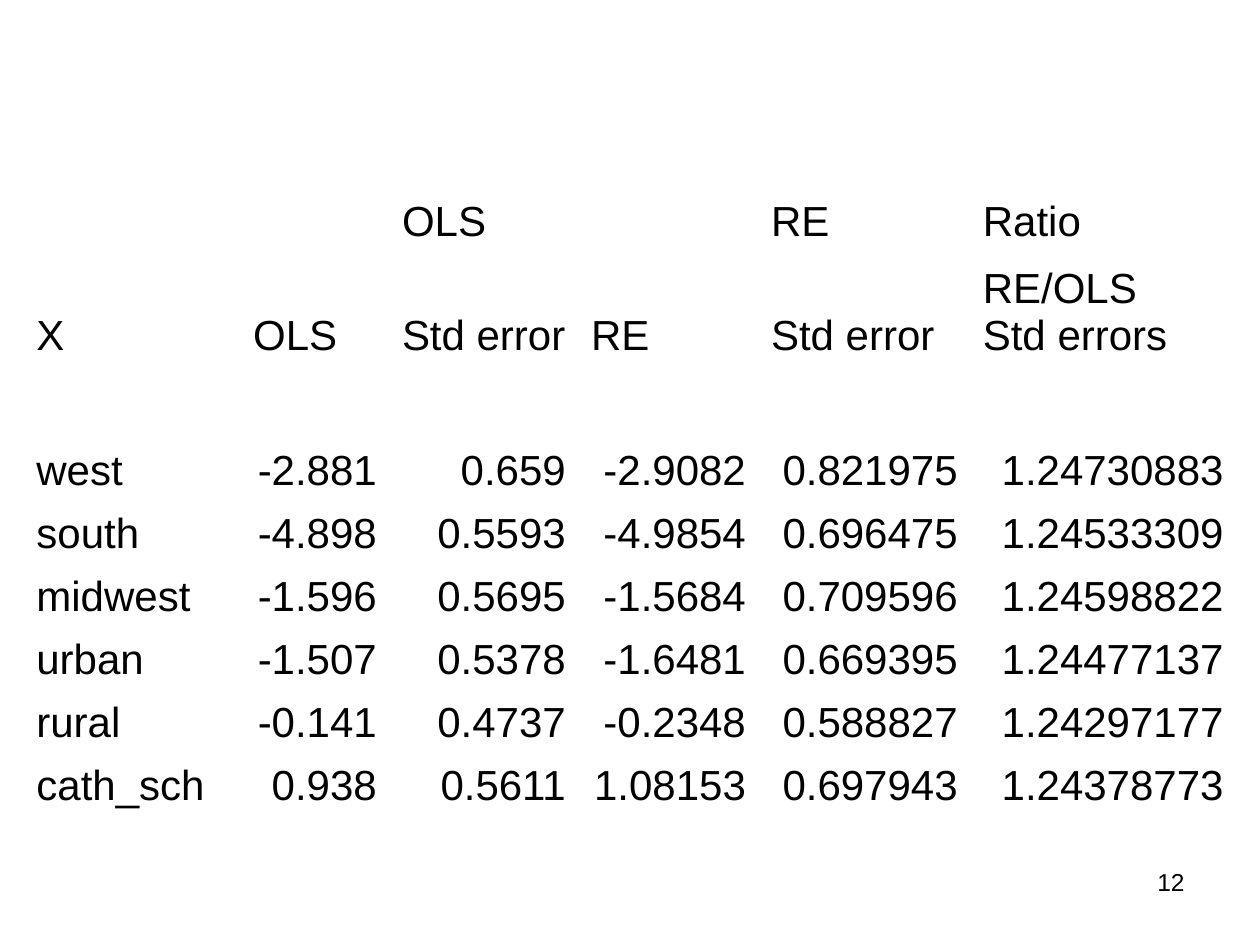
"""Build a slide with a table comparing OLS and RE estimates."""
from pptx import Presentation, util as u
from pptx.dml import color
from pptx.enum import text as t


def rgb(value):
    return color.RGBColor.from_string(value)


def write(frame, content, size=24, align=t.PP_ALIGN.LEFT, font="Arial", ink="000000"):
    for index, line in enumerate(content.split("\n")):
        paragraph = frame.add_paragraph() if index else frame.paragraphs[0]
        paragraph.alignment = align
        run = paragraph.add_run()
        run.text = line
        run.font.size = u.Pt(size)
        run.font.name = font
        run.font.color.rgb = rgb(ink)


presentation = Presentation()
presentation.slide_width = u.Cm(25.4)
presentation.slide_height = u.Cm(19.05)
slide = presentation.slides.add_slide(presentation.slide_layouts[6])

page_number = slide.shapes.add_textbox(u.Cm(18.2), u.Cm(17.35), u.Cm(5.93), u.Cm(1.32))
page_number.text_frame.word_wrap = True
write(page_number.text_frame, "12", size=14, align=t.PP_ALIGN.RIGHT)

headings = [
    ["", "", "OLS", "", "RE", "Ratio"],
    ["X", "OLS", "Std error", "RE", "Std error", "RE/OLS\nStd errors"],
    [""] * 6,
]
estimates = [
    ["west", "-2.881", "0.659", "-2.9082", "0.821975", "1.24730883"],
    ["south", "-4.898", "0.5593", "-4.9854", "0.696475", "1.24533309"],
    ["midwest", "-1.596", "0.5695", "-1.5684", "0.709596", "1.24598822"],
    ["urban", "-1.507", "0.5378", "-1.6481", "0.669395", "1.24477137"],
    ["rural", "-0.141", "0.4737", "-0.2348", "0.588827", "1.24297177"],
    ["cath_sch", "0.938", "0.5611", "1.08153", "0.697943", "1.24378773"],
]
rows = headings + estimates
column_widths = [4.37, 3, 3.81, 3.63, 4.27, 5.36]
row_heights = [1.45, 2.29, 1.45] + [1.27] * len(estimates)

table = slide.shapes.add_table(
    len(rows), len(column_widths), u.Cm(0.48), u.Cm(3.63),
    u.Cm(sum(column_widths)), u.Cm(sum(row_heights))).table
table.first_row = False
table.horz_banding = False
for column, width in zip(table.columns, column_widths):
    column.width = u.Cm(width)

for row_index, values in enumerate(rows):
    table.rows[row_index].height = u.Cm(row_heights[row_index])
    for column_index, value in enumerate(values):
        cell = table.cell(row_index, column_index)
        cell.fill.background()
        cell.vertical_anchor = t.MSO_ANCHOR.BOTTOM
        numeric = row_index >= len(headings) and column_index > 0
        if value:
            write(cell.text_frame, value,
                  align=t.PP_ALIGN.RIGHT if numeric else t.PP_ALIGN.LEFT)

presentation.save("out.pptx")
